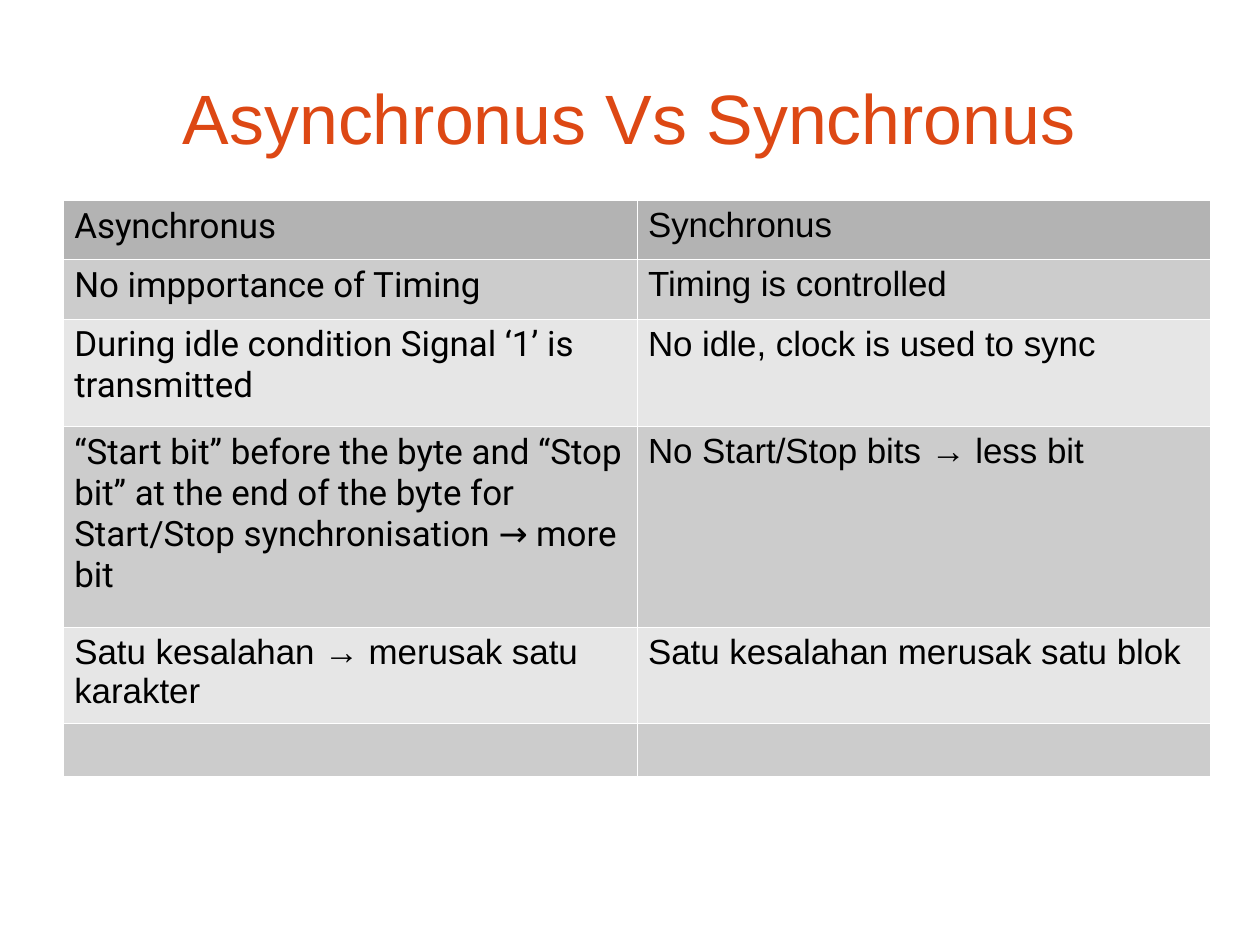
import pptx
import pptx.dml.color
import pptx.enum.text
import pptx.oxml
import pptx.oxml.ns
import pptx.util

Inches = pptx.util.Inches

ORANGE, BLACK, WHITE = "DD4814", "000000", "FFFFFF"
HEADER_GRAY, DARK_GRAY, LIGHT_GRAY = "B3B3B3", "CCCCCC", "E6E6E6"

COLUMN_WIDTHS = [5.02, 5.02]
# Row height, font of the left cell, left text, right text
ROWS = [
    (0.52, "Roboto", "Asynchronus", "Synchronus"),
    (0.52, "Roboto", "No impportance of Timing", "Timing is controlled"),
    (0.94, "Roboto", "During idle condition Signal ‘1’ is transmitted",
     "No idle, clock is used to sync"),
    (1.76, "Roboto", "“Start bit” before the byte and “Stop bit” at the end of the byte "
     "for Start/Stop synchronisation → more bit", "No Start/Stop bits → less bit"),
    (0.84, "Arial", "Satu kesalahan → merusak satu karakter",
     "Satu kesalahan merusak satu blok"),
    (0.46, "Arial", "", ""),
]


def color(value):
    return pptx.dml.color.RGBColor.from_string(value)


def write(frame, text, *, size, font="Arial", ink=BLACK, align=None):
    para = frame.paragraphs[0]
    para.alignment = align
    if not text:
        return
    span = para.add_run()
    span.text = text
    span.font.size = pptx.util.Pt(size)
    span.font.name = font
    span.font.color.rgb = color(ink)


def set_borders(cell, ink, width):
    properties = cell._tc.get_or_add_tcPr()
    for index, side in enumerate(("lnL", "lnR", "lnT", "lnB")):
        line = pptx.oxml.parse_xml(
            f'<a:{side} {pptx.oxml.ns.nsdecls("a")} w="{pptx.util.Pt(width)}">'
            f'<a:solidFill><a:srgbClr val="{ink}"/></a:solidFill></a:{side}>')
        properties.insert(index, line)


def add_title(page, text):
    title = page.shapes.title
    title.left, title.top = Inches(0.55), Inches(0.33)
    title.width, title.height = Inches(9.92), Inches(1.38)
    frame = title.text_frame
    frame.margin_left = frame.margin_right = frame.margin_top = frame.margin_bottom = 0
    frame.auto_size = pptx.enum.text.MSO_AUTO_SIZE.NONE
    frame.vertical_anchor = pptx.enum.text.MSO_ANCHOR.MIDDLE
    write(frame, text, size=44, ink=ORANGE, align=pptx.enum.text.PP_ALIGN.CENTER)


def row_fill(index):
    if index == 0:
        return HEADER_GRAY
    return DARK_GRAY if index % 2 else LIGHT_GRAY


def add_comparison(page):
    height = sum(row[0] for row in ROWS)
    table = page.shapes.add_table(
        len(ROWS), len(COLUMN_WIDTHS), Inches(0.55), Inches(1.75),
        Inches(sum(COLUMN_WIDTHS)), Inches(height)).table
    for column, width in zip(table.columns, COLUMN_WIDTHS):
        column.width = Inches(width)
    for index, (row_height, left_font, *texts) in enumerate(ROWS):
        table.rows[index].height = Inches(row_height)
        for column, (text, font) in enumerate(zip(texts, (left_font, "Arial"))):
            cell = table.cell(index, column)
            cell.fill.solid()
            cell.fill.fore_color.rgb = color(row_fill(index))
            set_borders(cell, WHITE, 0.06)
            write(cell.text_frame, text, size=22, font=font)
    # Header text stays regular weight
    table.first_row = False


def main():
    deck = pptx.Presentation()
    # The page is 28 by 21 cm, a metric 4:3 format
    deck.slide_width, deck.slide_height = pptx.util.Cm(28), pptx.util.Cm(21)
    page = deck.slides.add_slide(deck.slide_layouts[5])
    add_title(page, "Asynchronus Vs Synchronus")
    add_comparison(page)
    deck.save("out.pptx")


main()
